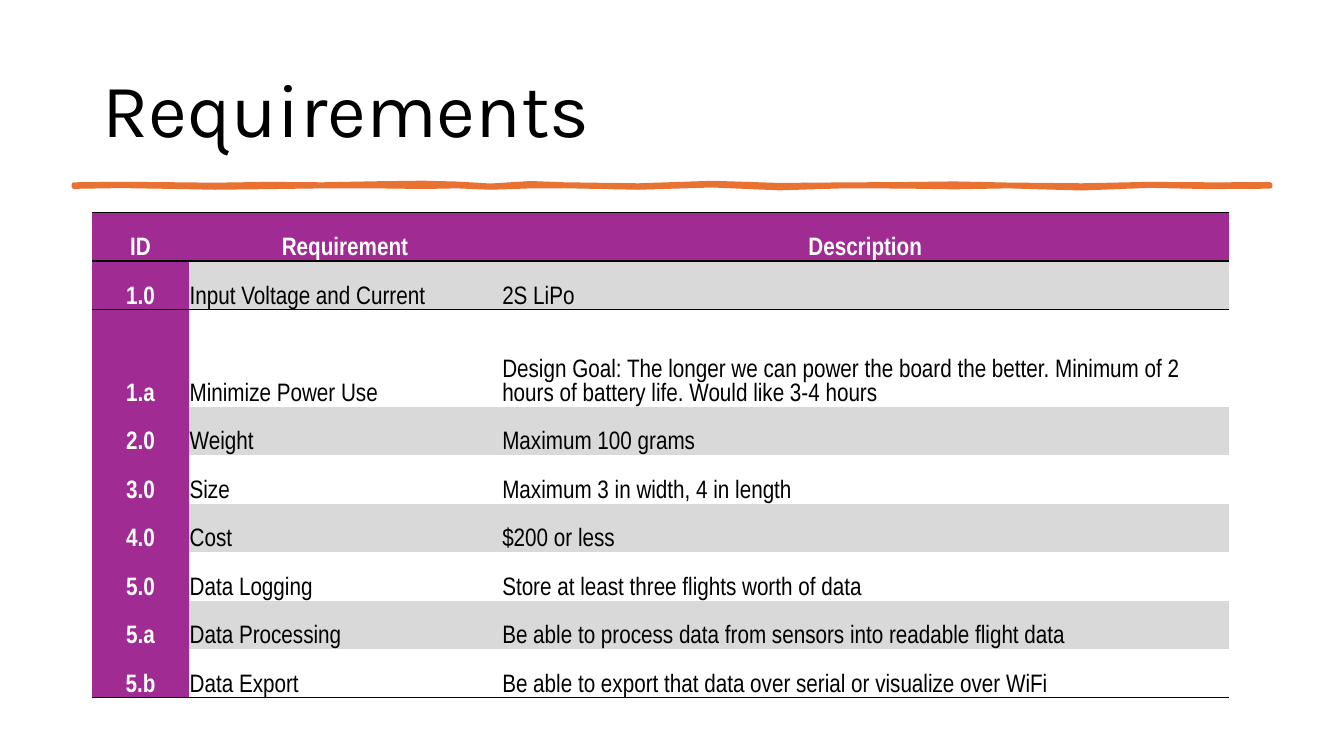
from typing import NamedTuple

from lxml import etree
from pptx import Presentation
from pptx import util as u
from pptx.dml.color import RGBColor
from pptx.enum import text
from pptx.oxml import ns

WHITE = RGBColor(0xFF, 0xFF, 0xFF)
BLACK = RGBColor(0x00, 0x00, 0x00)
PURPLE = RGBColor(0xA0, 0x2B, 0x93)
ORANGE = RGBColor(0xE9, 0x71, 0x32)
GRAY = RGBColor(0xD9, 0xD9, 0xD9)

WIDTH = u.Inches(13.33)
HEIGHT = u.Inches(7.5)
COL = WIDTH / 100
ROW = HEIGHT / 100
LEFT = 6.88
TABLE_TOP = 28.1
COLUMNS = (7.16, 23.26, 54.16)
LINE = 6.42
PLAIN = "{2D5ABB26-0587-4C30-8999-92F81FD0307C}"


class Need(NamedTuple):
    label: str
    name: str
    detail: str
    lines: int = 1


class Knot(NamedTuple):
    col: float
    top: float
    base: float


NEEDS = (
    Need("ID", "Requirement", "Description"),
    Need("1.0", "Input Voltage and Current", "2S LiPo"),
    Need(
        "1.a",
        "Minimize Power Use",
        "Design Goal: The longer we can power the board the better. "
        "Minimum of 2 hours of battery life. Would like 3-4 hours",
        2,
    ),
    Need("2.0", "Weight", "Maximum 100 grams"),
    Need("3.0", "Size", "Maximum 3 in width, 4 in length"),
    Need("4.0", "Cost", "$200 or less"),
    Need("5.0", "Data Logging", "Store at least three flights worth of data"),
    Need("5.a", "Data Processing",
         "Be able to process data from sensors into readable flight data"),
    Need("5.b", "Data Export",
         "Be able to export that data over serial or visualize over WiFi"),
)

WAVE = (
    Knot(5.5, 24.42, 24.68),
    Knot(9, 24.35, 24.58),
    Knot(12.5, 24.4, 24.68),
    Knot(16, 24.47, 24.8),
    Knot(20, 24.36, 24.72),
    Knot(24, 24.42, 24.62),
    Knot(28, 24.28, 24.62),
    Knot(31.5, 24.2, 24.7),
    Knot(34, 24.32, 24.62),
    Knot(36.5, 24.58, 24.8),
    Knot(39.5, 24.25, 24.62),
    Knot(42, 24.42, 24.6),
    Knot(47.5, 24.55, 24.8),
    Knot(53, 24.22, 24.5),
    Knot(58, 24.5, 24.88),
    Knot(63, 24.43, 24.6),
    Knot(67.5, 24.38, 24.65),
    Knot(71, 24.3, 24.75),
    Knot(75, 24.45, 24.62),
    Knot(80.5, 24.55, 24.9),
    Knot(85.5, 24.36, 24.55),
    Knot(90, 24.42, 24.72),
    Knot(94.5, 24.4, 24.66),
)


def cols(count: float) -> int:
    return round(count * COL)


def rows(count: float) -> int:
    return round(count * ROW)


def style(para, font: str, size: float, color: RGBColor, bold: bool) -> None:
    for run in para.runs:
        run.font.name = font
        run.font.size = u.Pt(size)
        run.font.bold = bold
        run.font.color.rgb = color


def add_title(slide, words: str) -> None:
    title = slide.shapes.title
    title.left, title.top = cols(LEFT), rows(5.33)
    title.width, title.height = cols(86.25), rows(19.33)
    frame = title.text_frame
    frame.text = words
    frame.word_wrap = True
    frame.vertical_anchor = text.MSO_ANCHOR.MIDDLE
    para = frame.paragraphs[0]
    para.alignment = text.PP_ALIGN.LEFT
    para.line_spacing = 0.9
    style(para, "Karla", 54, BLACK, False)


def add_wave(slide) -> None:
    edge = [(cols(k.col), rows(k.top)) for k in WAVE]
    edge += [(cols(k.col), rows(k.base)) for k in reversed(WAVE)]
    pen = slide.shapes.build_freeform(*edge[0])
    pen.add_line_segments(edge[1:], close=True)
    wave = pen.convert_to_shape()
    wave.shadow.inherit = False
    wave.fill.solid()
    wave.fill.fore_color.rgb = ORANGE
    wave.line.color.rgb = ORANGE
    wave.line.width = u.Pt(3.25)


def add_rule(cell, side: str) -> None:
    props = cell._tc.get_or_add_tcPr()
    line = etree.SubElement(props, ns.qn(f"a:{side}"), w=str(u.Pt(1)))
    fill = etree.SubElement(line, ns.qn("a:solidFill"))
    etree.SubElement(fill, ns.qn("a:srgbClr"), val=str(BLACK))


def fill_cell(cell, words: str, row: int, col: int) -> None:
    head = row == 0 or col == 0
    cell.margin_left = cell.margin_right = cell.margin_top = u.Inches(0.01)
    cell.margin_bottom = 0
    cell.vertical_anchor = text.MSO_ANCHOR.BOTTOM
    if row < 2:
        add_rule(cell, "lnT")
    if row in (0, len(NEEDS) - 1):
        add_rule(cell, "lnB")
    if head or row % 2:
        cell.fill.solid()
        cell.fill.fore_color.rgb = PURPLE if head else GRAY
    else:
        cell.fill.background()
    cell.text_frame.text = words
    para = cell.text_frame.paragraphs[0]
    para.alignment = text.PP_ALIGN.CENTER if head else text.PP_ALIGN.LEFT
    style(para, "Arial Narrow", 18, WHITE if head else BLACK, head)


def add_needs(slide) -> None:
    total = sum(need.lines for need in NEEDS)
    frame = slide.shapes.add_table(
        len(NEEDS), len(COLUMNS), cols(LEFT), rows(TABLE_TOP),
        cols(sum(COLUMNS)), rows(total * LINE))
    table = frame.table
    table._tbl.tblPr.find(ns.qn("a:tableStyleId")).text = PLAIN
    table.horz_banding = False
    for column, span in zip(table.columns, COLUMNS):
        column.width = cols(span)
    for row, need in enumerate(NEEDS):
        table.rows[row].height = rows(need.lines * LINE)
        for col, words in enumerate((need.label, need.name, need.detail)):
            fill_cell(table.cell(row, col), words, row, col)


def main() -> None:
    deck = Presentation()
    deck.slide_width, deck.slide_height = WIDTH, HEIGHT
    slide = deck.slides.add_slide(deck.slide_layouts.get_by_name("Title Only"))
    slide.background.fill.solid()
    slide.background.fill.fore_color.rgb = WHITE
    add_title(slide, "Requirements")
    add_wave(slide)
    add_needs(slide)
    deck.save("out.pptx")


if __name__ == "__main__":
    main()
